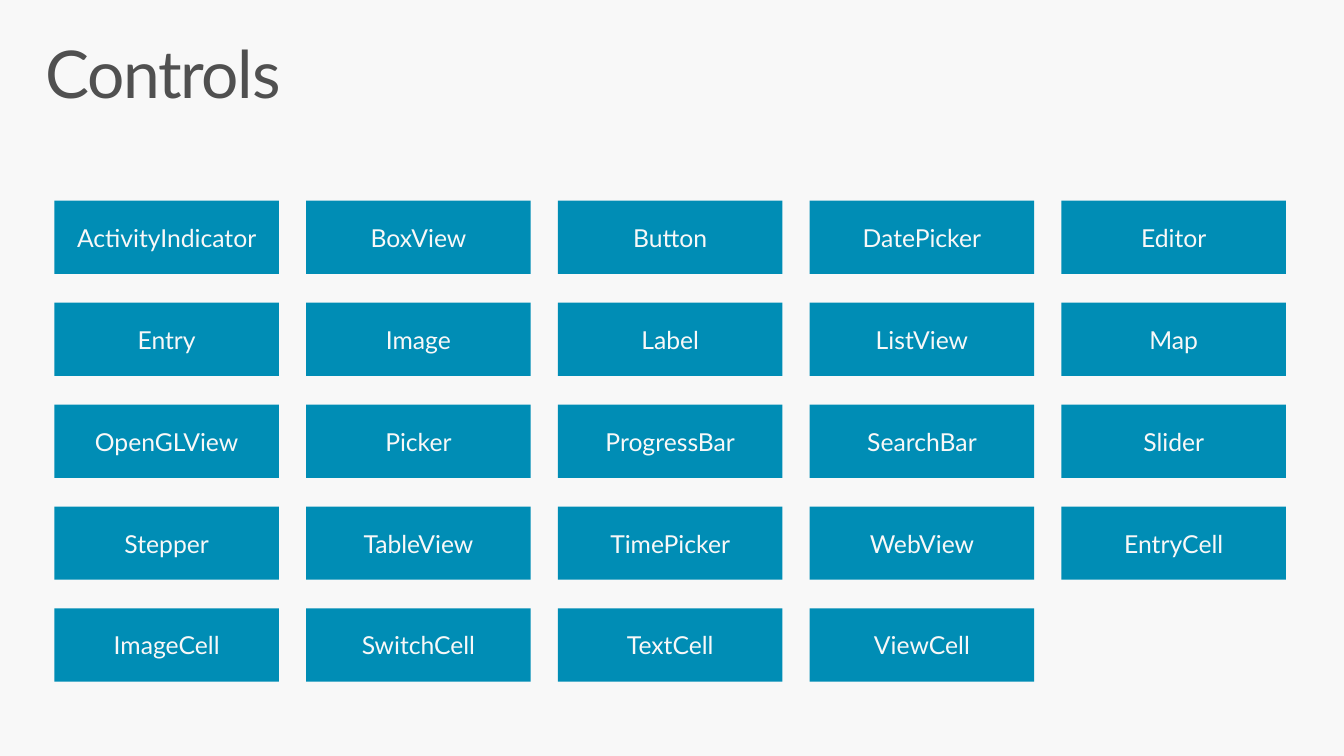
from pptx import Presentation
from pptx.dml.color import RGBColor
from pptx.enum.shapes import MSO_SHAPE
from pptx.enum.text import MSO_ANCHOR, MSO_AUTO_SIZE, PP_ALIGN
from pptx.util import Cm, Pt

BACKGROUND, TILE_BLUE, TITLE_GREY = "F8F8F8", "008DB5", "505050"
CONTROLS = [
    ["ActivityIndicator", "BoxView", "Button", "DatePicker", "Editor"],
    ["Entry", "Image", "Label", "ListView", "Map"],
    ["OpenGLView", "Picker", "ProgressBar", "SearchBar", "Slider"],
    ["Stepper", "TableView", "TimePicker", "WebView", "EntryCell"],
    ["ImageCell", "SwitchCell", "TextCell", "ViewCell"],
]
GRID_LEFT, GRID_TOP = 1.4, 5.16
COLUMN_STEP, ROW_STEP = 6.47, 2.62
TILE_WIDTH, TILE_HEIGHT = 5.77, 1.88


def color(hex_string):
    return RGBColor.from_string(hex_string)


class SlideBuilder:
    """Draws styled elements on the current slide."""

    def __init__(self, slide, font_name="Lato"):
        self.slide = slide
        self.font_name = font_name

    def background(self, fill):
        self.slide.background.fill.solid()
        self.slide.background.fill.fore_color.rgb = color(fill)

    def style(self, paragraph, size, text_color, alignment):
        paragraph.alignment = alignment
        paragraph.font.name = self.font_name
        paragraph.font.size = Pt(size)
        paragraph.font.color.rgb = color(text_color)

    def title(self, text, left, top, width, height):
        shape = self.slide.shapes.title
        shape.left, shape.top = Cm(left), Cm(top)
        shape.width, shape.height = Cm(width), Cm(height)
        frame = shape.text_frame
        frame.text = text
        frame.word_wrap = True
        frame.auto_size = MSO_AUTO_SIZE.NONE
        frame.vertical_anchor = MSO_ANCHOR.TOP
        frame.margin_left = frame.margin_right = Cm(0.41)
        frame.margin_top = frame.margin_bottom = Cm(0.25)
        paragraph = frame.paragraphs[0]
        paragraph.line_spacing = 0.9
        self.style(paragraph, 48, TITLE_GREY, PP_ALIGN.LEFT)
        paragraph.runs[0].font._element.set("spc", "-100")

    def tile(self, text, left, top, width, height):
        shape = self.slide.shapes.add_shape(
            MSO_SHAPE.ROUNDED_RECTANGLE, Cm(left), Cm(top), Cm(width), Cm(height))
        shape.adjustments[0] = 0
        shape.shadow.inherit = False
        shape.fill.solid()
        shape.fill.fore_color.rgb = color(TILE_BLUE)
        shape.line.fill.background()
        frame = shape.text_frame
        frame.text = text
        frame.word_wrap = True
        frame.vertical_anchor = MSO_ANCHOR.MIDDLE
        self.style(frame.paragraphs[0], 18, BACKGROUND, PP_ALIGN.CENTER)


def main():
    presentation = Presentation()
    presentation.slide_width, presentation.slide_height = Cm(34.54), Cm(19.43)
    title_only = presentation.slide_layouts[5]
    builder = SlideBuilder(presentation.slides.add_slide(title_only))
    builder.background(BACKGROUND)
    builder.title("Controls", 0.76, 0.81, 33.02, 2.54)
    for row, names in enumerate(CONTROLS):
        for column, name in enumerate(names):
            builder.tile(name, GRID_LEFT + column * COLUMN_STEP,
                         GRID_TOP + row * ROW_STEP, TILE_WIDTH, TILE_HEIGHT)
    presentation.save("out.pptx")


if __name__ == "__main__":
    main()
